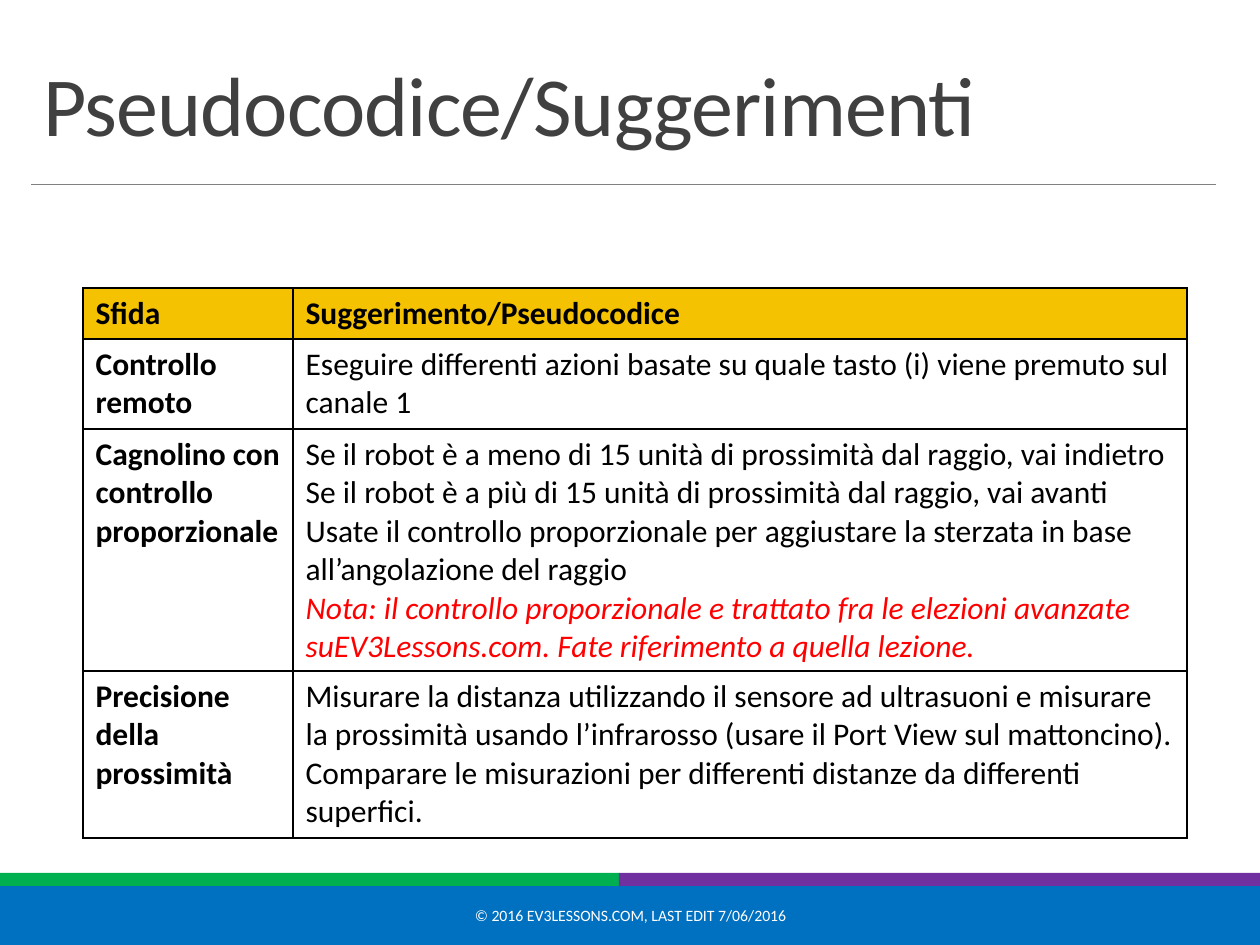
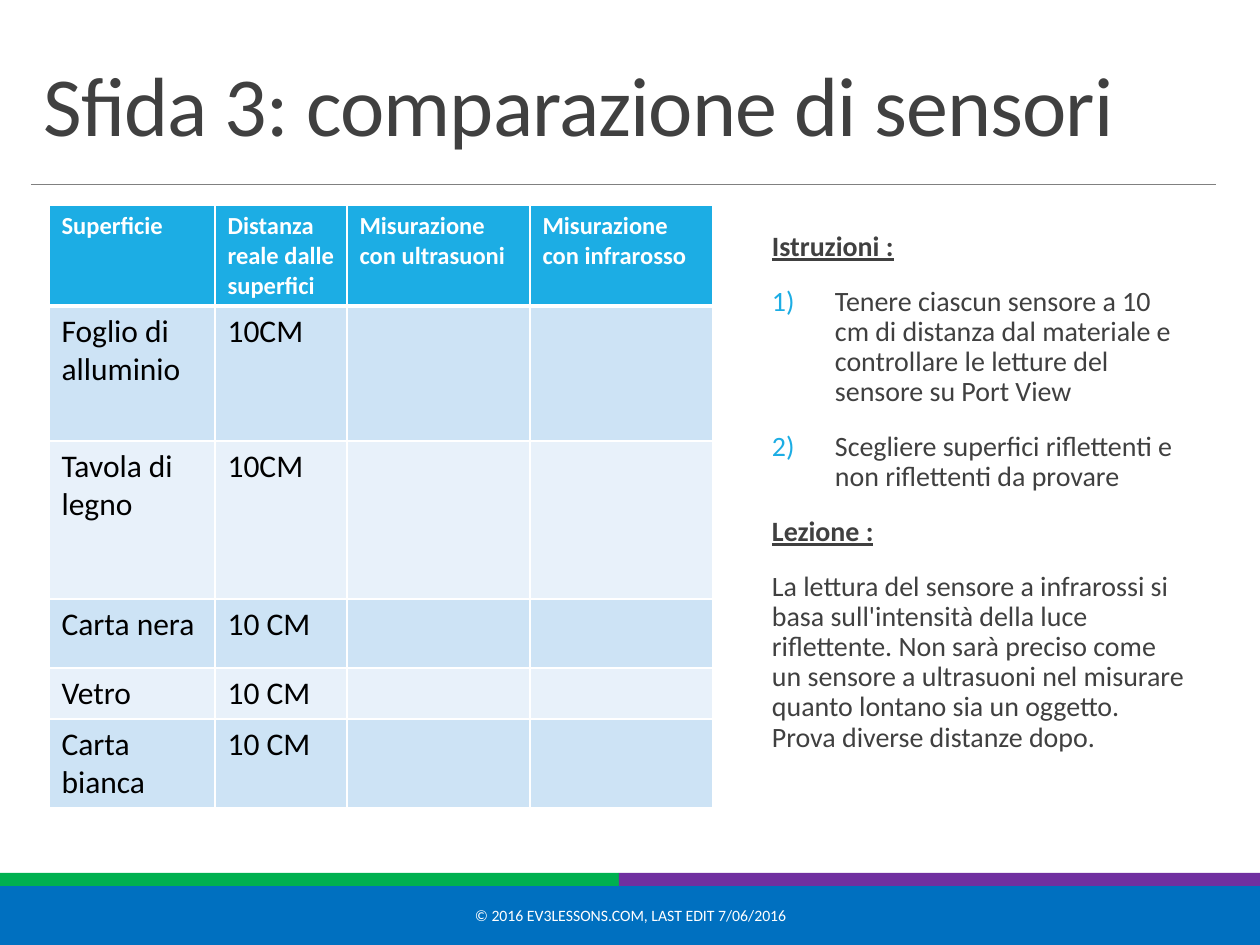
from dataclasses import dataclass, replace

from lxml.etree import SubElement
from pptx import Presentation
from pptx.dml.color import RGBColor
from pptx.enum.shapes import MSO_CONNECTOR as Connector, MSO_SHAPE as Shape
from pptx.enum.text import MSO_ANCHOR as Anchor, PP_ALIGN as Align
from pptx.oxml.ns import qn
from pptx.oxml.xmlchemy import OxmlElement
from pptx.util import Emu, Pt

PX_PER_INCH = 126


@dataclass(frozen=True)
class Theme:
    font: str = "Calibri"
    white: str = "FFFFFF"
    black: str = "000000"
    ink: str = "404040"
    rule: str = "808080"
    note: str = "FF0000"
    footer: str = "0070C0"
    green: str = "00B050"
    purple: str = "7030A0"
    gold: str = "F5C201"
    sky: str = "1CADE4"
    row_dark: str = "CDE3F5"
    row_light: str = "E8F1FA"
    title_size: int = 48
    cell_size: int = 18
    body_size: int = 16
    head_size: int = 14
    footer_size: int = 9


THEME = Theme()


@dataclass(frozen=True)
class Box:
    left: int
    top: int
    width: int
    height: int

    def emu(self) -> tuple[Emu, Emu, Emu, Emu]:
        return px(self.left), px(self.top), px(self.width), px(self.height)


@dataclass(frozen=True)
class Style:
    size: int
    color: str
    bold: bool = False
    italic: bool = False
    underline: bool = False


@dataclass(frozen=True)
class Line:
    text: str
    style: Style
    numbered: bool = False


@dataclass(frozen=True)
class Band:
    box: Box
    color: str
    outlined: bool = False


@dataclass(frozen=True)
class Cell:
    lines: tuple[Line, ...]
    fill: str | None = None


@dataclass(frozen=True)
class Grid:
    left: int
    top: int
    columns: tuple[int, ...]
    rows: tuple[int, ...]
    border: str
    head_rule: int = 1


TITLE = Style(THEME.title_size, THEME.ink)
FOOTER = Style(THEME.footer_size, THEME.white)
CELL = Style(THEME.cell_size, THEME.black)
CELL_BOLD = replace(CELL, bold=True)
CELL_NOTE = replace(CELL, color=THEME.note, italic=True)
SENSOR_HEAD = Style(THEME.head_size, THEME.white, bold=True)
BODY = Style(THEME.body_size, THEME.ink)
BODY_HEAD = replace(BODY, bold=True, underline=True)

TITLE_BOX = Box(31, 39, 1184, 121)
FOOTER_BOX = Box(381, 890, 499, 50)
BODY_BOX = Box(772, 226, 415, 551)
BANDS = (
    Band(Box(0, 882, 1260, 63), THEME.footer, outlined=True),
    Band(Box(0, 873, 619, 13), THEME.green),
    Band(Box(619, 873, 641, 13), THEME.purple),
)
COPYRIGHT = "© 2016 EV3LESSONS.COM, LAST EDIT 7/06/2016"

HINT_GRID = Grid(83, 288, (210, 894), (51, 90, 242, 167), THEME.black)
HINT_HEAD = ("Sfida", "Suggerimento/Pseudocodice")
HINTS = (
    ("Controllo remoto", (
        "Eseguire differenti azioni basate su quale tasto (i) viene premuto sul canale 1",
    ), ""),
    ("Cagnolino con controllo proporzionale", (
        "Se il robot è a meno di 15 unità di prossimità dal raggio, vai indietro",
        "Se il robot è a più di 15 unità di prossimità dal raggio, vai avanti",
        "Usate il controllo proporzionale per aggiustare la sterzata in base "
        "all’angolazione del raggio",
    ), "Nota: il controllo proporzionale e trattato fra le elezioni avanzate "
       "suEV3Lessons.com. Fate riferimento a quella lezione."),
    ("Precisione della prossimità", (
        "Misurare la distanza utilizzando il sensore ad ultrasuoni e misurare la "
        "prossimità usando l’infrarosso (usare il Port View sul mattoncino). "
        "Comparare le misurazioni per differenti distanze da differenti superfici.",
    ), ""),
)

SENSOR_GRID = Grid(49, 205, (166, 132, 183, 183), (101, 135, 158, 69, 51, 89),
                   THEME.white, head_rule=3)
SENSOR_COLUMNS = ("Superficie", "Distanza reale dalle superfici",
                  "Misurazione con ultrasuoni", "Misurazione con infrarosso")
SURFACES = (
    ("Foglio di alluminio", "10CM"),
    ("Tavola di legno", "10CM"),
    ("Carta nera", "10 CM"),
    ("Vetro", "10 CM"),
    ("Carta bianca", "10 CM"),
)
INSTRUCTIONS = (
    Line("Istruzioni :", BODY_HEAD),
    Line("Tenere ciascun sensore a 10 cm di distanza dal materiale e controllare "
         "le letture del sensore su Port View", BODY, numbered=True),
    Line("Scegliere superfici riflettenti e non riflettenti da provare",
         BODY, numbered=True),
    Line("Lezione :", BODY_HEAD),
    Line("La lettura del sensore a infrarossi si basa sull'intensità della luce "
         "riflettente. Non sarà preciso come un sensore a ultrasuoni nel misurare "
         "quanto lontano sia un oggetto. Prova diverse distanze dopo.", BODY),
)


def px(length: int) -> Emu:
    return Emu(round(length * 914400 / PX_PER_INCH))


def rgb(color: str) -> RGBColor:
    return RGBColor.from_string(color)


def apply_style(paragraph, style: Style) -> None:
    font = paragraph.font
    font.name = THEME.font
    font.size = Pt(style.size)
    font.bold = style.bold
    font.italic = style.italic
    font.underline = style.underline
    font.color.rgb = rgb(style.color)


def add_number(paragraph) -> None:
    """Give the paragraph a coloured automatic number and a hanging indent."""
    properties = paragraph._p.get_or_add_pPr()
    indent = px(63)
    properties.set("marL", str(indent))
    properties.set("indent", str(-indent))
    color = SubElement(properties, qn("a:buClr"))
    SubElement(color, qn("a:srgbClr")).set("val", THEME.sky)
    SubElement(properties, qn("a:buAutoNum")).set("type", "arabicParenR")


def write_lines(frame, lines: tuple[Line, ...]) -> None:
    for index, line in enumerate(lines):
        paragraph = frame.add_paragraph() if index else frame.paragraphs[0]
        paragraph.text = line.text
        if line.numbered:
            add_number(paragraph)
        apply_style(paragraph, line.style)


def add_text(slide, box: Box, *lines: Line, anchor=Anchor.TOP):
    frame = slide.shapes.add_textbox(*box.emu()).text_frame
    frame.word_wrap = True
    frame.vertical_anchor = anchor
    write_lines(frame, lines)
    return frame


def add_band(slide, band: Band) -> None:
    shape = slide.shapes.add_shape(Shape.RECTANGLE, *band.box.emu())
    shape.shadow.inherit = False
    shape.fill.solid()
    shape.fill.fore_color.rgb = rgb(band.color)
    if band.outlined:
        shape.line.color.rgb = rgb(band.color)
        shape.line.width = Pt(1.25)
    else:
        shape.line.fill.background()


def add_title_rule(slide) -> None:
    rule = slide.shapes.add_connector(
        Connector.STRAIGHT, px(31), px(184), px(1216), px(184))
    rule.line.color.rgb = rgb(THEME.rule)
    rule.line.width = Pt(0.5)
    SubElement(rule._element.spPr, qn("a:effectLst"))


def add_lesson_slide(deck, title: str):
    """Add a slide with the shared bands, rule, title and copyright line."""
    slide = deck.slides.add_slide(deck.slide_layouts[6])
    for band in BANDS:
        add_band(slide, band)
    add_title_rule(slide)
    heading = add_text(slide, TITLE_BOX, Line(title, TITLE),
                       anchor=Anchor.BOTTOM).paragraphs[0]
    heading.line_spacing = 0.85
    heading.runs[0]._r.get_or_add_rPr().set("spc", "-50")
    footer = add_text(slide, FOOTER_BOX, Line(COPYRIGHT, FOOTER), anchor=Anchor.MIDDLE)
    footer.paragraphs[0].alignment = Align.CENTER
    return slide


def set_borders(cell, color: str, widths: dict[str, int]) -> None:
    properties = cell._tc.get_or_add_tcPr()
    for position, (side, width) in enumerate(widths.items()):
        border = OxmlElement(f"a:ln{side}")
        border.set("w", str(Pt(width)))
        fill = SubElement(border, qn("a:solidFill"))
        SubElement(fill, qn("a:srgbClr")).set("val", color)
        properties.insert(position, border)


def add_grid(slide, grid: Grid, content: list[list[Cell]]) -> None:
    box = Box(grid.left, grid.top, sum(grid.columns), sum(grid.rows))
    table = slide.shapes.add_table(
        len(grid.rows), len(grid.columns), *box.emu()).table
    table.horz_banding = False
    for column, width in zip(table.columns, grid.columns):
        column.width = px(width)
    for number, (row, height, entries) in enumerate(
            zip(table.rows, grid.rows, content)):
        row.height = px(height)
        top = grid.head_rule if number == 1 else 1
        bottom = grid.head_rule if number == 0 else 1
        for cell, entry in zip(row.cells, entries):
            write_lines(cell.text_frame, entry.lines)
            if entry.fill:
                cell.fill.solid()
                cell.fill.fore_color.rgb = rgb(entry.fill)
            else:
                cell.fill.background()
            set_borders(cell, grid.border, {"L": 1, "R": 1, "T": top, "B": bottom})


def build_hints(deck) -> None:
    slide = add_lesson_slide(deck, "Pseudocodice/Suggerimenti")
    content = [[Cell((Line(head, CELL_BOLD),), THEME.gold) for head in HINT_HEAD]]
    for challenge, steps, note in HINTS:
        lines = tuple(Line(step, CELL) for step in steps)
        if note:
            lines += (Line(note, CELL_NOTE),)
        content.append([Cell((Line(challenge, CELL_BOLD),)), Cell(lines)])
    add_grid(slide, HINT_GRID, content)


def build_comparison(deck) -> None:
    slide = add_lesson_slide(deck, "Sfida 3: comparazione di sensori")
    instructions = add_text(slide, BODY_BOX, *INSTRUCTIONS)
    instructions.margin_left = instructions.margin_right = 0
    for index, paragraph in enumerate(instructions.paragraphs):
        paragraph.line_spacing = 0.9
        paragraph.space_before = Pt(12 if index else 0)
        paragraph.space_after = Pt(2)

    content = [[Cell((Line(head, SENSOR_HEAD),), THEME.sky) for head in SENSOR_COLUMNS]]
    for index, (surface, distance) in enumerate(SURFACES):
        fill = THEME.row_light if index % 2 else THEME.row_dark
        filled = [Cell((Line(text, CELL),), fill) for text in (surface, distance)]
        content.append(filled + [Cell((), fill)] * 2)
    add_grid(slide, SENSOR_GRID, content)


def main() -> None:
    deck = Presentation()
    deck.slide_width, deck.slide_height = px(1260), px(945)
    build_hints(deck)
    build_comparison(deck)
    deck.save("out.pptx")


if __name__ == "__main__":
    main()
